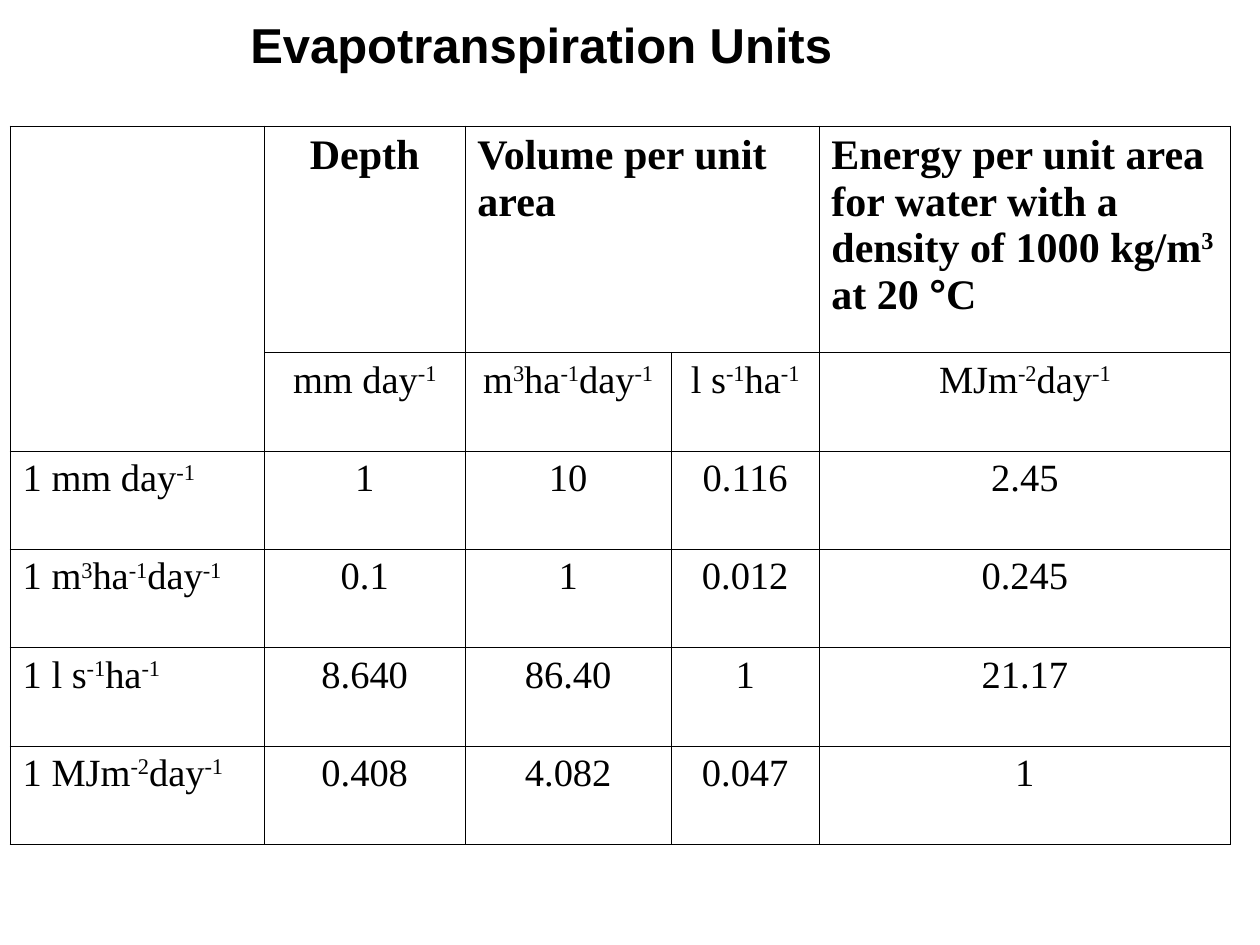
"""Build the Evapotranspiration Units slide with its unit conversion table."""
from lxml.etree import fromstring
from pptx import Presentation
from pptx.dml.color import RGBColor
from pptx.enum.text import MSO_ANCHOR, MSO_AUTO_SIZE, PP_ALIGN
from pptx.util import Inches, Pt

NS = "http://schemas.openxmlformats.org/drawingml/2006/main"
BLACK = "000000"


def set_font(font, name, size, bold, color=BLACK):
    font.name, font.size, font.bold = name, Pt(size), bold
    font.color.rgb = RGBColor.from_string(color)


def add_runs(p, text):
    for i, part in enumerate(text.replace("°", "|°|").split("|")):
        for j, piece in enumerate(part.split("^")):
            if piece:
                r = p.add_run()
                r.text = piece
                if j % 2:
                    r._r.get_or_add_rPr().set("baseline", "30000")
                if piece == "°":
                    r.font.name = "Arial"


prs = Presentation()
prs.slide_width, prs.slide_height = Inches(10), Inches(7.5)
s = prs.slides.add_slide(prs.slide_layouts[5])

title = s.shapes.title
title.left, title.top = Inches(1.42), Inches(0.08)
title.width, title.height = Inches(5.75), Inches(0.53)
tf = title.text_frame
tf.text = "Evapotranspiration Units"
tf.vertical_anchor = MSO_ANCHOR.MIDDLE
tf.auto_size = MSO_AUTO_SIZE.NONE
p = tf.paragraphs[0]
p.alignment = PP_ALIGN.CENTER
set_font(p.font, "Arial", 28, True)

units = ["mm day^-1^", "m^3^ha^-1^day^-1^", "l s^-1^ha^-1^", "MJm^-2^day^-1^"]
factors = [
    ["1", "10", "0.116", "2.45"],
    ["0.1", "1", "0.012", "0.245"],
    ["8.640", "86.40", "1", "21.17"],
    ["0.408", "4.082", "0.047", "1"],
]
energy = "Energy per unit area for water with a density of 1000 kg/m^3^ at 20 °C"
rows = [["", "Depth", "Volume per unit area", "", energy], ["", *units]]
rows += [[f"1 {unit}", *values] for unit, values in zip(units, factors)]
widths = [2.02, 1.59, 1.64, 1.17, 3.27]
heights = [1.8] + [0.78] * 5

table = s.shapes.add_table(len(rows), len(widths), Inches(0.08), Inches(1),
                           Inches(sum(widths)), Inches(sum(heights))).table
table.first_row = table.horz_banding = False
for column, width in zip(table.columns, widths):
    column.width = Inches(width)
for row, height in zip(table.rows, heights):
    row.height = Inches(height)
table.cell(0, 0).merge(table.cell(1, 0))
table.cell(0, 2).merge(table.cell(0, 3))

for i, texts in enumerate(rows):
    for j, text in enumerate(texts):
        cell = table.cell(i, j)
        tcPr = cell._tc.get_or_add_tcPr()
        for side in "LRTB":
            tcPr.append(fromstring(
                f'<a:ln{side} xmlns:a="{NS}" w="{Pt(0.45)}"><a:solidFill>'
                f'<a:srgbClr val="{BLACK}"/></a:solidFill></a:ln{side}>'))
        cell.fill.background()
        if text:
            p = cell.text_frame.paragraphs[0]
            if j == 0:
                p.alignment = PP_ALIGN.JUSTIFY
            elif i > 0 or j == 1:
                p.alignment = PP_ALIGN.CENTER
            set_font(p.font, "Times New Roman", 22 if i else 24, i == 0)
            add_runs(p, text)

prs.save("out.pptx")
